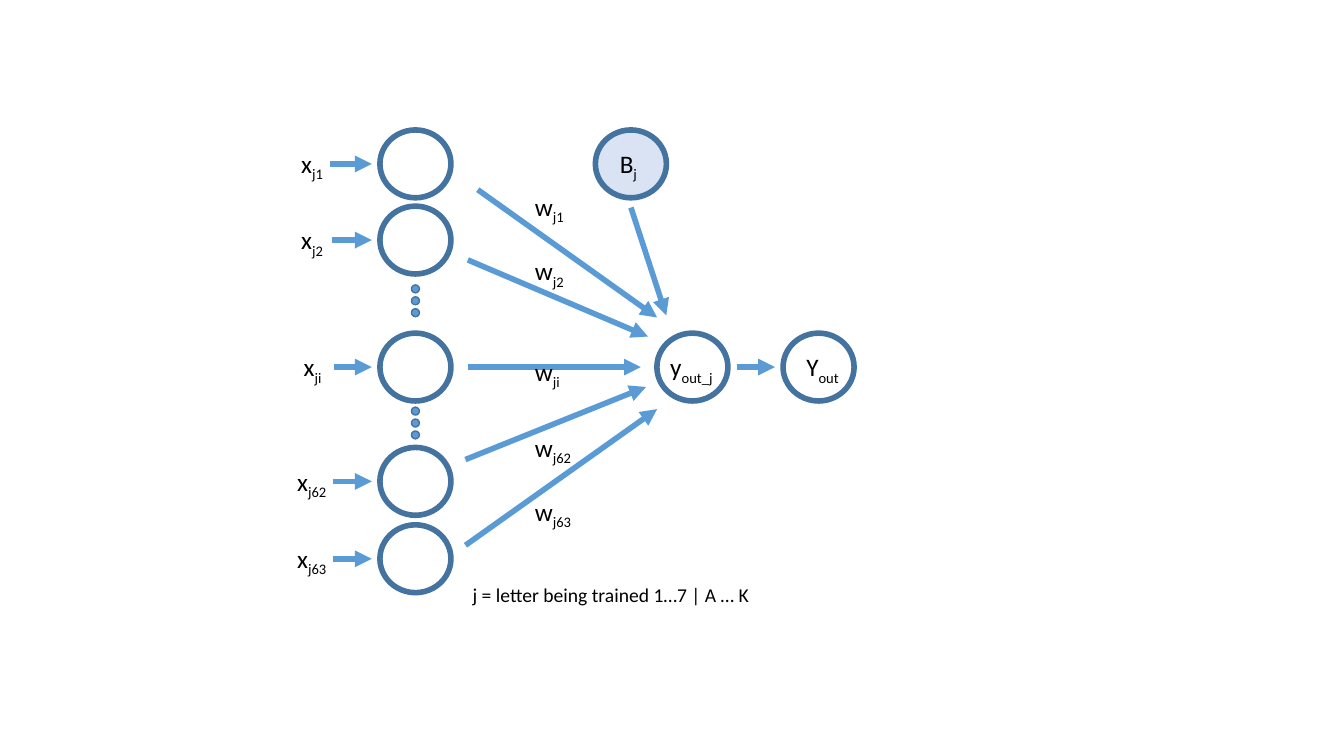
from dataclasses import dataclass

from lxml import etree
from pptx import Presentation
from pptx.dml.color import RGBColor
from pptx.enum.shapes import MSO_CONNECTOR, MSO_SHAPE
from pptx.enum.text import MSO_AUTO_SIZE
from pptx.oxml.ns import qn
from pptx.util import Cm, Pt


@dataclass(frozen=True)
class Theme:
    font: str = "Calibri"
    text: str = "000000"
    arrow: str = "5B9BD5"
    outline: str = "43739E"
    bias_fill: str = "DAE3F3"
    label_size: int = 18
    caption_size: int = 14
    line_width: int = 4
    dot_line_width: int = 1


class Diagram:
    """Draws network parts on one slide; all lengths are in centimetres."""

    def __init__(self, slide, theme):
        self.slide = slide
        self.theme = theme

    def ellipse(self, x, y, width, height, fill, line_width):
        """Draw an ellipse centred on x, y."""
        sp = self.slide.shapes.add_shape(
            MSO_SHAPE.OVAL, Cm(x - width / 2), Cm(y - height / 2), Cm(width), Cm(height))
        sp.shadow.inherit = False
        if fill:
            sp.fill.solid()
            sp.fill.fore_color.rgb = RGBColor.from_string(fill)
        else:
            sp.fill.background()
        sp.line.color.rgb = RGBColor.from_string(self.theme.outline)
        sp.line.width = Pt(line_width)

    def neuron(self, x, y, fill=None):
        self.ellipse(x, y, 1.79, 1.71, fill, self.theme.line_width)

    def dots(self, x, top):
        """Draw three dots downwards, the first centred on x, top."""
        for i in range(3):
            self.ellipse(x, top + i * 0.3, 0.2, 0.2,
                         self.theme.arrow, self.theme.dot_line_width)

    def arrow(self, start, end):
        cx = self.slide.shapes.add_connector(
            MSO_CONNECTOR.STRAIGHT, *(Cm(v) for v in (*start, *end)))
        cx.line.color.rgb = RGBColor.from_string(self.theme.arrow)
        cx.line.width = Pt(self.theme.line_width)
        etree.SubElement(cx.line._get_or_add_ln(), qn("a:tailEnd"), type="triangle")
        etree.SubElement(cx._element.spPr, qn("a:effectLst"))

    def text(self, left, y, width, height, size, base, subscript=""):
        """Write a line of text centred vertically on y."""
        tb = self.slide.shapes.add_textbox(
            Cm(left), Cm(y - height / 2), Cm(width), Cm(height))
        tf = tb.text_frame
        tf.word_wrap = False
        tf.auto_size = MSO_AUTO_SIZE.SHAPE_TO_FIT_TEXT
        p = tf.paragraphs[0]
        for content, baseline in ((base, None), (subscript, "-25000")):
            if not content:
                continue
            r = p.add_run()
            r.text = content
            r.font.name = self.theme.font
            r.font.size = Pt(size)
            r.font.color.rgb = RGBColor.from_string(self.theme.text)
            if baseline:
                r._r.get_or_add_rPr().set("baseline", baseline)

    def label(self, left, y, width, base, subscript):
        self.text(left, y, width, 1.03, self.theme.label_size, base, subscript)

    def caption(self, left, y, width, content):
        self.text(left, y, width, 0.86, self.theme.caption_size, content)


INPUT_X = 10.47
INPUT_LABEL_X = 7.9
WEIGHT_LABEL_LEFT = 13.23
BIAS_X, BIAS_Y = 15.9, 4.13
SUM_X, OUTPUT_X, OUTPUT_Y = 17.45, 20.63, 9.25

# index, row y, label width, input arrow start, weight arrow start and end, weight label y
INPUTS = [
    ("j1", 4.13, 1.12, 8.31, (12.04, 4.78), (16.56, 8.0), 5.21),
    ("j2", 6.05, 1.12, 8.36, (11.79, 6.55), (16.33, 8.48), 6.83),
    ("ji", 9.25, 0.99, 8.41, (11.79, 9.25), (16.15, 9.25), 9.37),
    ("j62", 12.13, 1.32, 8.38, (11.73, 11.58), (16.28, 9.75), 11.28),
    ("j63", 14.08, 1.32, 8.38, (11.73, 13.74), (16.56, 10.31), 12.9),
]


def main():
    prs = Presentation()
    prs.slide_width, prs.slide_height = Cm(33.87), Cm(19.05)
    theme = Theme()
    d = Diagram(prs.slides.add_slide(prs.slide_layouts[6]), theme)

    for index, y, width, arrow_x, start, end, weight_y in INPUTS:
        d.neuron(INPUT_X, y)
        d.arrow((arrow_x, y), (9.37, y))
        d.label(INPUT_LABEL_X - width / 2, y, width, "x", index)
        d.arrow(start, end)
        d.label(WEIGHT_LABEL_LEFT, weight_y, width + 0.18, "w", index)
    for top in (7.28, 10.36):
        d.dots(INPUT_X, top)

    d.neuron(BIAS_X, BIAS_Y, theme.bias_fill)
    d.label(15.37, BIAS_Y, 0.97, "B", "j")
    d.arrow((BIAS_X, 5.23), (16.79, 7.95))

    d.neuron(SUM_X, OUTPUT_Y)
    d.label(16.64, OUTPUT_Y, 1.7, "y", "out_j")
    d.arrow((18.57, OUTPUT_Y), (19.53, OUTPUT_Y))
    d.neuron(OUTPUT_X, OUTPUT_Y)
    d.label(20.07, OUTPUT_Y, 1.37, "Y", "out")

    d.caption(11.66, 14.99, 7.57, "j = letter being trained 1…7 | A … K")
    prs.save("out.pptx")


if __name__ == "__main__":
    main()
